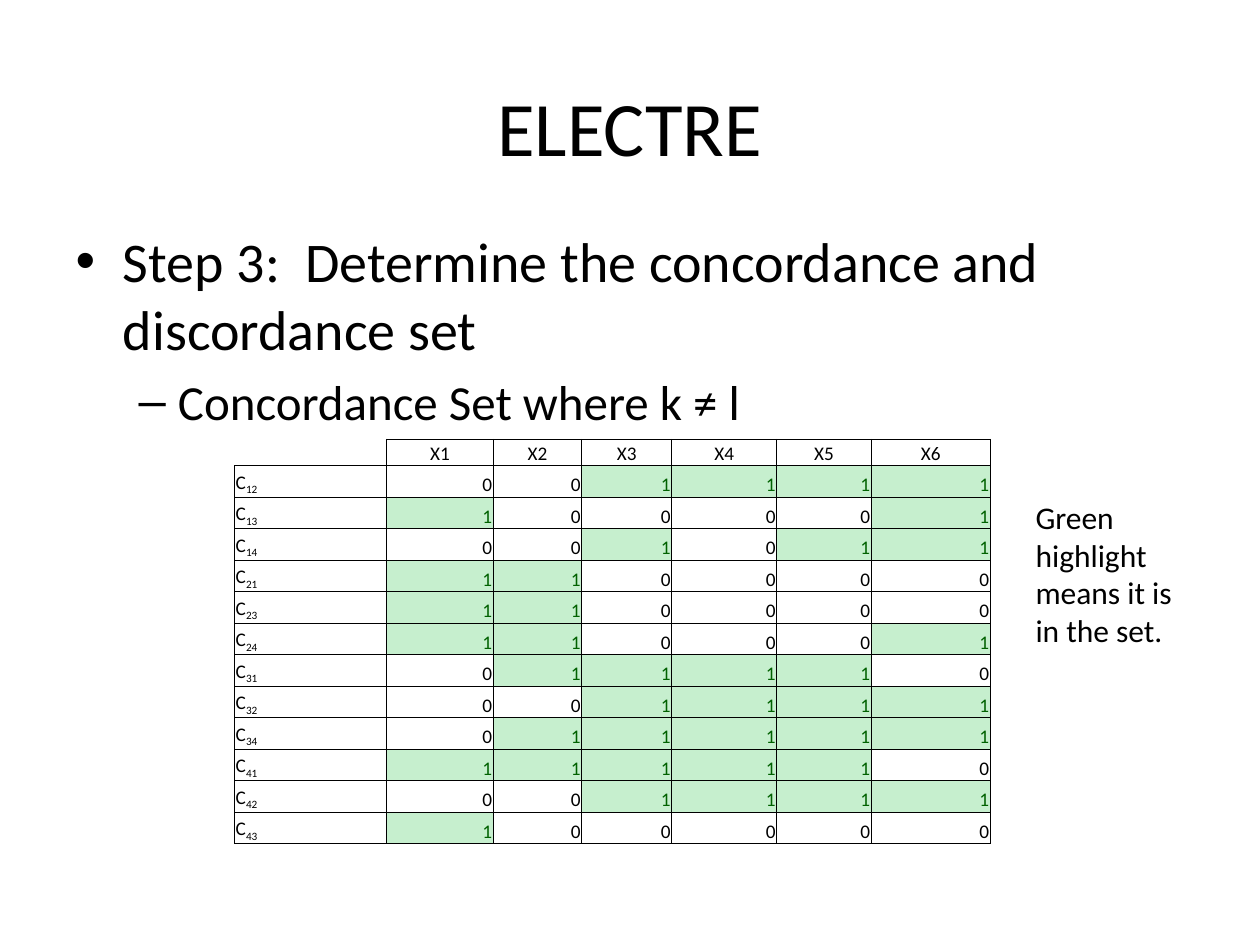
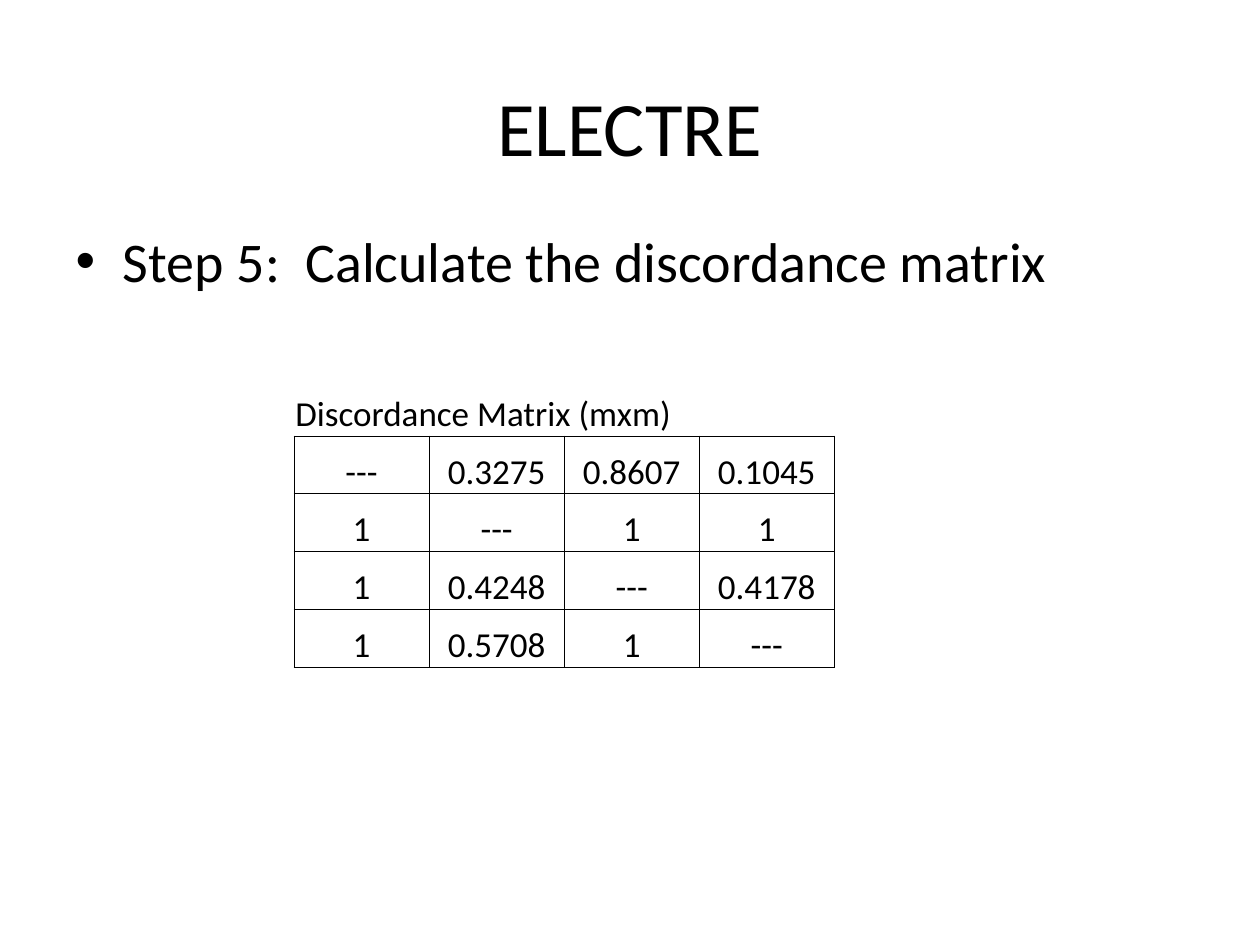
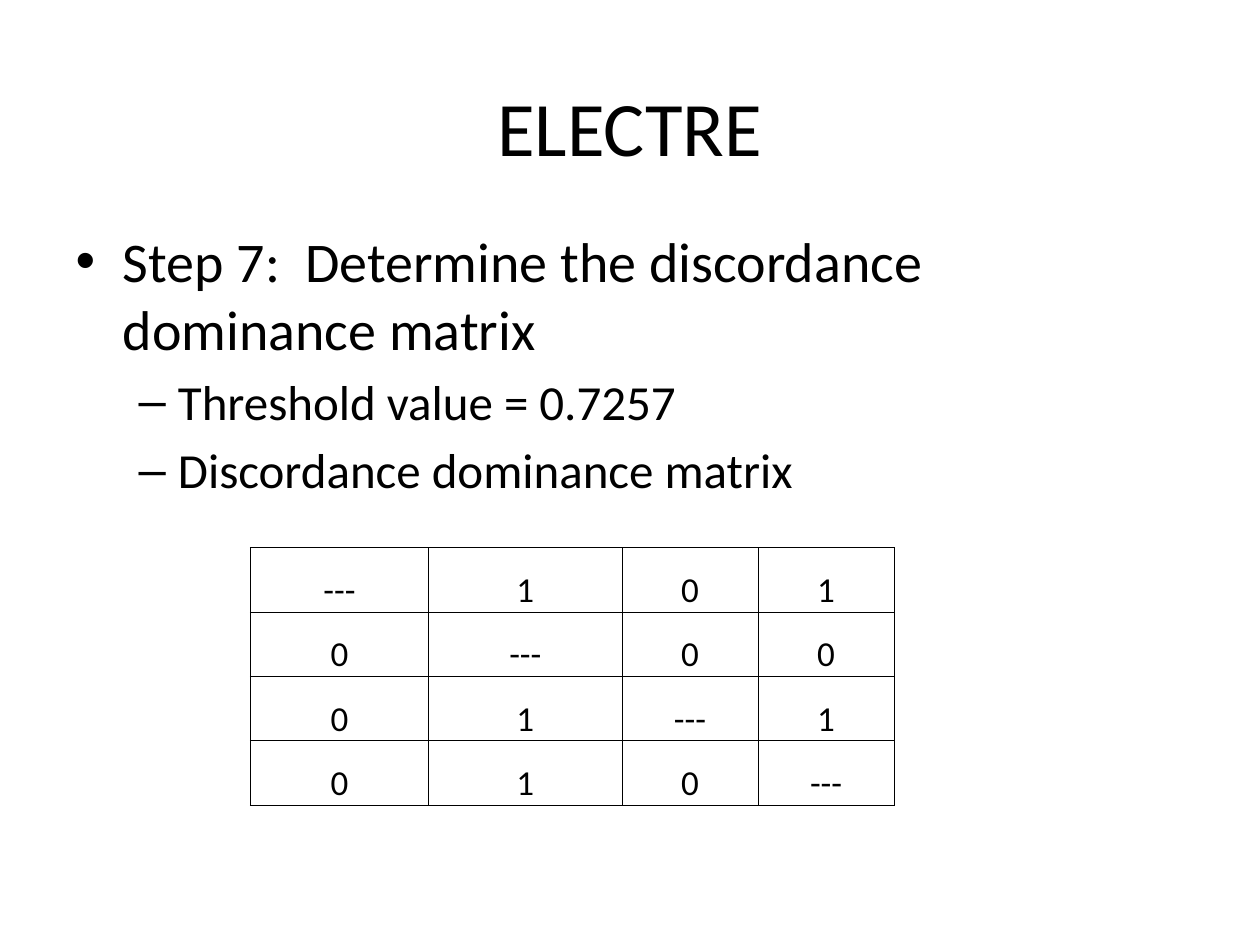
from lxml import etree
from pptx import Presentation
from pptx.dml.color import RGBColor
from pptx.enum import text
from pptx.oxml import ns
from pptx.util import Pt

FONT = "Calibri"
BLACK = "000000"
SET_FILL, SET_TEXT = "C6EFCE", "006100"
NO_STYLE = "{2D5ABB26-0587-4C30-8999-92F81FD0307C}"
TITLE_BOX = (36, 27, 648, 90)
BODY_BOX = (36, 126, 648, 356.4)
BODY_SIZES = (32, 28)
LEFT, CENTER, RIGHT = (text.PP_ALIGN.LEFT, text.PP_ALIGN.CENTER, text.PP_ALIGN.RIGHT)


def color(value):
    return RGBColor.from_string(value)


def style(p, size, rgb=BLACK, align=None):
    p.font.name, p.font.size = FONT, Pt(size)
    p.font.color.rgb = color(rgb)
    if align is not None:
        p.alignment = align


def place(s, box):
    s.left, s.top, s.width, s.height = map(Pt, box)


def add_slide(prs, items):
    """Title and bulleted list; items are (level, wording) pairs."""
    slide = prs.slides.add_slide(prs.slide_layouts[1])
    title, body = slide.placeholders
    place(title, TITLE_BOX)
    title.text_frame.text = "ELECTRE"
    style(title.text_frame.paragraphs[0], 44, align=CENTER)

    place(body, BODY_BOX)
    tf = body.text_frame
    for i, (level, words) in enumerate(items):
        p = tf.add_paragraph() if i else tf.paragraphs[0]
        p.text, p.level = words, level
        style(p, BODY_SIZES[level])
    return slide


def add_borders(cell, sides):
    tcPr = cell._tc.get_or_add_tcPr()
    for side in "LRTB":
        ln = etree.SubElement(tcPr, ns.qn("a:ln" + side), w=str(Pt(0.5)))
        if side in sides:
            fill = etree.SubElement(ln, ns.qn("a:solidFill"))
            etree.SubElement(fill, ns.qn("a:srgbClr"), val=BLACK)
        else:
            etree.SubElement(ln, ns.qn("a:noFill"))


def write_cell(cell, words, size, align, rgb=BLACK, fill=None, sides="LRTB"):
    """Wording may hold one subscript, set off by an underscore."""
    cell.margin_left = cell.margin_right = cell.margin_top = Pt(0.72)
    cell.margin_bottom = 0
    cell.vertical_anchor = text.MSO_ANCHOR.BOTTOM
    add_borders(cell, sides)
    if fill:
        cell.fill.solid()
        cell.fill.fore_color.rgb = color(fill)
    else:
        cell.fill.background()

    p = cell.text_frame.paragraphs[0]
    style(p, size, rgb, align)
    base, _, sub = words.partition("_")
    if base:
        p.add_run().text = base
    else:  # keeps an empty cell from stretching its row
        etree.SubElement(p._p, ns.qn("a:endParaRPr"), sz=str(size * 100))
    if sub:
        r = p.add_run()
        r.text = sub
        r._r.get_or_add_rPr().set("baseline", "-25000")


def add_grid(slide, left, top, widths, heights):
    frame = slide.shapes.add_table(len(heights), len(widths), Pt(left), Pt(top),
                                   Pt(sum(widths)), Pt(sum(heights)))
    table = frame.table
    table._tbl.tblPr.find(ns.qn("a:tableStyleId")).text = NO_STYLE
    table.first_row = table.horz_banding = False
    for column, width in zip(table.columns, widths):
        column.width = Pt(width)
    for row, height in zip(table.rows, heights):
        row.height = Pt(height)
    return table


def concordance_table(slide, left, top, memberships):
    """Row per pair of alternatives, with members of the set in green."""
    widths = [87, 61, 50.5, 51.5, 60, 54, 68]
    table = add_grid(slide, left, top, widths, [15] + [18] * len(memberships))
    write_cell(table.cell(0, 0), "", 11, LEFT, sides="RB")
    for col in range(1, len(widths)):
        write_cell(table.cell(0, col), f"X{col}", 11, CENTER)
    for row, (pair, flags) in enumerate(memberships.items(), 1):
        write_cell(table.cell(row, 0), f"C_{pair}", 11, LEFT)
        for col, flag in enumerate(flags, 1):
            marks = (SET_TEXT, SET_FILL) if flag == "1" else ()
            write_cell(table.cell(row, col), flag, 11, RIGHT, *marks)


def matrix_table(slide, left, top, widths, height, rows, caption=None):
    """Square matrix, with an optional unframed caption row above it."""
    heights = [height] * len(rows)
    first = 1 if caption else 0
    table = add_grid(slide, left, top, widths, [57.6] * first + heights)
    if caption:
        for col in range(len(widths)):
            write_cell(table.cell(0, col), "" if col else caption, 20, LEFT, sides="B")
        table.cell(0, 0).merge(table.cell(0, 2))
    for i, values in enumerate(rows, first):
        for col, value in enumerate(values.split()):
            write_cell(table.cell(i, col), value, 20, CENTER)


def side_note(slide, box, words):
    tf = slide.shapes.add_textbox(*map(Pt, box)).text_frame
    tf.word_wrap = True
    tf.text = words
    style(tf.paragraphs[0], 18)


def main():
    prs = Presentation()
    prs.slide_width, prs.slide_height = Pt(720), Pt(540)

    # Concordance set
    slide = add_slide(prs, [
        (0, "Step 3:  Determine the concordance and discordance set"),
        (1, "Concordance Set where k ≠ l")])
    concordance_table(slide, 134, 251, {
        12: "001111", 13: "100001", 14: "001011",
        21: "110000", 23: "110000", 24: "110001",
        31: "011110", 32: "001111", 34: "011111",
        41: "111110", 42: "001111", 43: "100000"})
    side_note(slide, (584.64, 281, 99.36, 94.5), "Green highlight means it is in the set.")

    # Discordance matrix
    slide = add_slide(prs, [(0, "Step 5:  Calculate the discordance matrix")])
    matrix_table(slide, 168, 191.5, [77.2] * 4, 33, [
        "--- 0.3275 0.8607 0.1045",
        "1 --- 1 1",
        "1 0.4248 --- 0.4178",
        "1 0.5708 1 ---"], "Discordance Matrix (mxm)")

    # Discordance dominance matrix
    slide = add_slide(prs, [
        (0, "Step 7:  Determine the discordance dominance matrix"),
        (1, "Threshold value = 0.7257"),
        (1, "Discordance dominance matrix")])
    matrix_table(slide, 143, 313, [102, 110.4, 77.8, 77.8], 36.75, [
        "--- 1 0 1",
        "0 --- 0 0",
        "0 1 --- 1",
        "0 1 0 ---"])

    prs.save("out.pptx")


if __name__ == "__main__":
    main()
